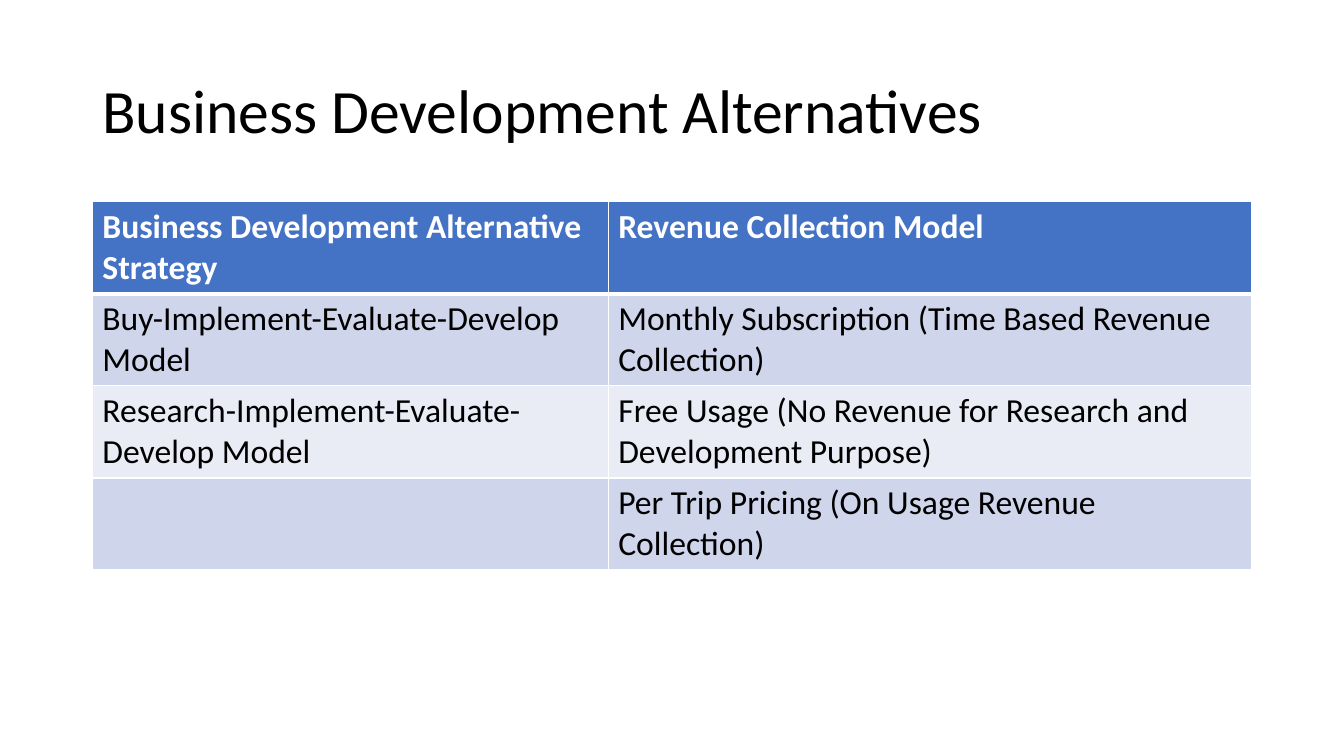
from lxml import etree
from pptx import Presentation
from pptx.dml.color import RGBColor
from pptx.enum import text
from pptx.oxml import ns
from pptx.util import Pt

TITLE = "Business Development Alternatives"
ROWS = [
    ("Business Development Alternative Strategy", "Revenue Collection Model"),
    ("Buy-Implement-Evaluate-Develop Model",
     "Monthly Subscription (Time Based Revenue Collection)"),
    ("Research-Implement-Evaluate-Develop Model",
     "Free Usage (No Revenue for Research and Development Purpose)"),
    ("", "Per Trip Pricing (On Usage Revenue Collection)"),
]
COLORS = {"text": "000000", "white": "FFFFFF", "header": "4472C4",
          "odd": "CFD5EA", "even": "E9EBF5"}
FONT = "Calibri"
LEFT, WIDTH = 66, 828
TITLE_TOP, TITLE_HEIGHT = 28.75, 104.4
TABLE_TOP, ROW_HEIGHT = 144, 64.8
COLUMNS = (368.5, 459.5)
TITLE_FORMAT = {"name": FONT, "size": Pt(44), "bold": False}
CELL_FORMAT = {"name": FONT, "size": Pt(24)}


def rgb(name):
    return RGBColor.from_string(COLORS[name])


def style(font, color, values):
    for key, value in values.items():
        setattr(font, key, value)
    font.color.rgb = rgb(color)


def add_borders(cell, widths):
    tcPr = cell._tc.get_or_add_tcPr()
    for side, width in widths.items():
        ln = etree.SubElement(tcPr, ns.qn(f"a:ln{side}"), w=str(Pt(width)))
        fill = etree.SubElement(ln, ns.qn("a:solidFill"))
        etree.SubElement(fill, ns.qn("a:srgbClr"), val=COLORS["white"])


def add_title(s):
    sp = s.shapes.title
    sp.left, sp.top, sp.width, sp.height = map(
        Pt, (LEFT, TITLE_TOP, WIDTH, TITLE_HEIGHT))
    tf = sp.text_frame
    tf.auto_size = text.MSO_AUTO_SIZE.NONE
    tf.vertical_anchor = text.MSO_ANCHOR.MIDDLE
    p = tf.paragraphs[0]
    p.alignment = text.PP_ALIGN.LEFT
    p.line_spacing = 0.9
    r = p.add_run()
    r.text = TITLE
    style(r.font, "text", TITLE_FORMAT)


def add_strategy_table(s):
    table = s.shapes.add_table(
        len(ROWS), len(COLUMNS), Pt(LEFT), Pt(TABLE_TOP),
        Pt(WIDTH), Pt(ROW_HEIGHT * len(ROWS))).table
    for column, width in zip(table.columns, COLUMNS):
        column.width = Pt(width)
    for i, row in enumerate(ROWS):
        header = i == 0
        fill = "header" if header else "odd" if i % 2 else "even"
        color = "white" if header else "text"
        borders = {"L": 1, "R": 1, "T": 3 if i == 1 else 1, "B": 3 if header else 1}
        for j, words in enumerate(row):
            cell = table.cell(i, j)
            add_borders(cell, borders)
            cell.fill.solid()
            cell.fill.fore_color.rgb = rgb(fill)
            p = cell.text_frame.paragraphs[0]
            if words:
                r = p.add_run()
                r.text = words
                style(r.font, color, {**CELL_FORMAT, "bold": header})


def main():
    prs = Presentation()
    prs.slide_width, prs.slide_height = Pt(960), Pt(540)
    s = prs.slides.add_slide(prs.slide_layouts[5])
    add_title(s)
    add_strategy_table(s)
    prs.save("out.pptx")


if __name__ == "__main__":
    main()
